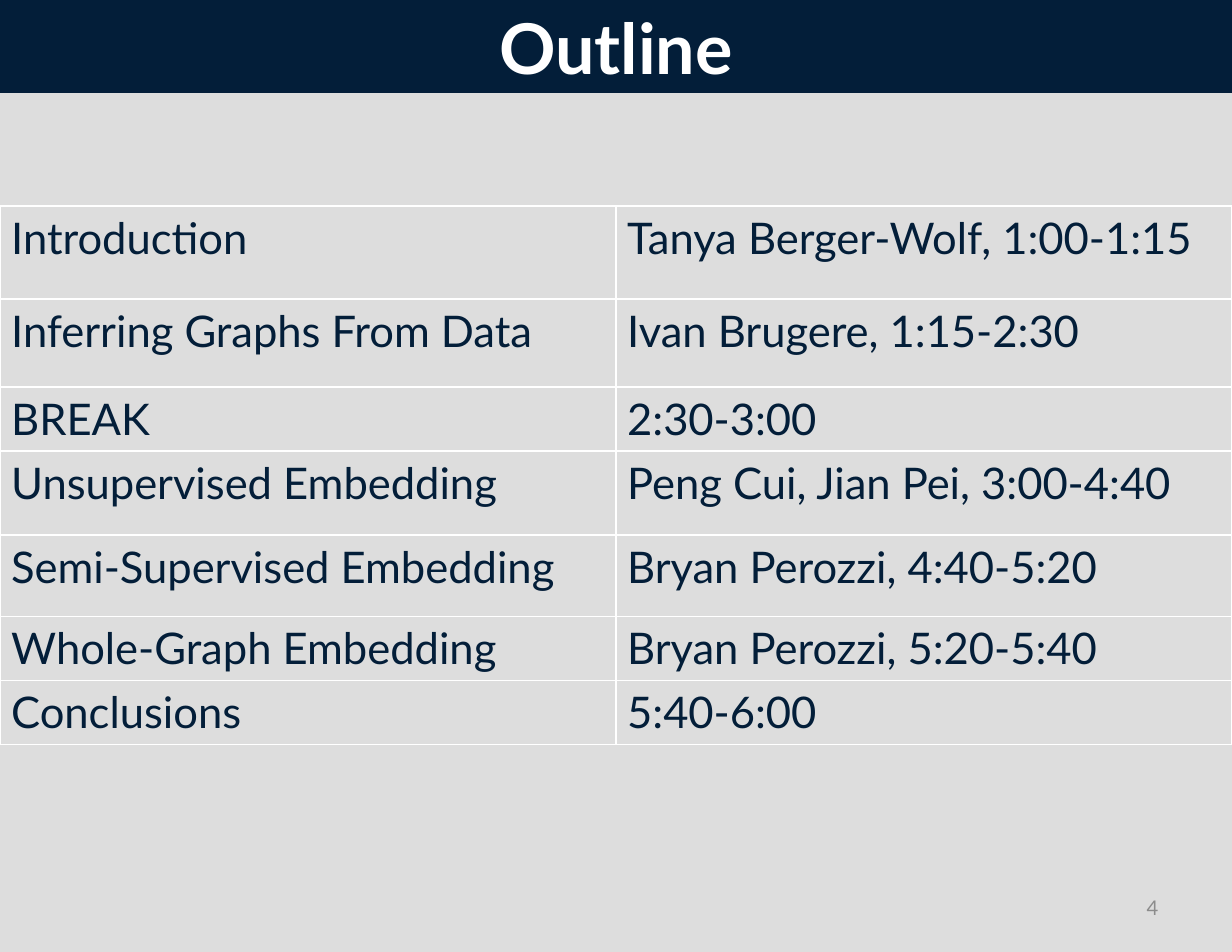
import pptx
import pptx.dml.color
import pptx.enum.text
import pptx.oxml
import pptx.oxml.ns
import pptx.util

Cm = pptx.util.Cm
Pt = pptx.util.Pt
RGBColor = pptx.dml.color.RGBColor
ALIGN = pptx.enum.text.PP_ALIGN
MIDDLE = pptx.enum.text.MSO_ANCHOR.MIDDLE

heading = "Outline"
page = "4"
agenda = [
    ("Introduction", "Tanya Berger-Wolf, 1:00-1:15", 2.11),
    ("Inferring Graphs From Data", "Ivan Brugere, 1:15-2:30", 2.0),
    ("BREAK", "2:30-3:00", 1.45),
    ("Unsupervised Embedding", "Peng Cui, Jian Pei, 3:00-4:40", 1.9),
    ("Semi-Supervised Embedding", "Bryan Perozzi, 4:40-5:20", 1.85),
    ("Whole-Graph Embedding", "Bryan Perozzi, 5:20-5:40", 1.45),
    ("Conclusions", "5:40-6:00", 1.45),
]

NAVY = RGBColor(0x03, 0x1E, 0x39)
PALE = RGBColor(0xDD, 0xDD, 0xDD)
WHITE = RGBColor(0xFF, 0xFF, 0xFF)
GREY = RGBColor(0x8C, 0x8C, 0x8C)

WIDTH, HEIGHT = Cm(27.94), Cm(21.59)
HEADING_FONT = {"name": "Lato", "size": Pt(45), "bold": True}
AGENDA_FONT = {"name": "Lato", "size": Pt(28), "bold": False}
PAGE_FONT = {"name": "Lato", "size": Pt(13), "bold": False}
FRAME = {"word_wrap": True, "vertical_anchor": MIDDLE,
         "margin_left": Cm(0.28), "margin_right": Cm(0.28),
         "margin_top": Cm(0.15), "margin_bottom": Cm(0.15)}
HEADING_BOX = {"left": 0, "top": 0, "width": WIDTH, "height": Cm(2.11)}
TABLE_FLAGS = {"first_row": False, "horz_banding": False}


def apply(target, values):
    for attribute, value in values.items():
        setattr(target, attribute, value)


def write(frame, text, font, color, align):
    paragraph = frame.paragraphs[0]
    paragraph.alignment = align
    run = paragraph.add_run()
    run.text = text
    apply(run.font, font)
    run.font.color.rgb = color


def add_borders(cell):
    properties = cell._tc.get_or_add_tcPr()
    for index, side in enumerate(("lnL", "lnR", "lnT", "lnB")):
        properties.insert(index, pptx.oxml.parse_xml(
            f'<a:{side} {pptx.oxml.ns.nsdecls("a")} w="{Pt(1)}"><a:solidFill>'
            f'<a:srgbClr val="{WHITE}"/></a:solidFill></a:{side}>'))


deck = pptx.Presentation()
apply(deck, {"slide_width": WIDTH, "slide_height": HEIGHT})
slide = deck.slides.add_slide(deck.slide_layouts[5])
slide.background.fill.solid()
slide.background.fill.fore_color.rgb = PALE

page_number = slide.shapes.add_textbox(Cm(20.02), Cm(20.02), Cm(6.53), Cm(1.14))
apply(page_number.text_frame, FRAME)
write(page_number.text_frame, page, PAGE_FONT, GREY, ALIGN.RIGHT)

title = slide.shapes.title
apply(title, HEADING_BOX)
title.fill.solid()
title.fill.fore_color.rgb = NAVY
apply(title.text_frame, FRAME)
write(title.text_frame, heading, HEADING_FONT, WHITE, ALIGN.CENTER)

total = sum(height for _, _, height in agenda)
schedule = slide.shapes.add_table(
    len(agenda), 2, 0, Cm(4.67), WIDTH, Cm(total)).table
apply(schedule, TABLE_FLAGS)
for row, (topic, speaker, height) in zip(schedule.rows, agenda):
    row.height = Cm(height)
    for cell, text in zip(row.cells, (topic, speaker)):
        cell.fill.solid()
        cell.fill.fore_color.rgb = PALE
        add_borders(cell)
        write(cell.text_frame, text, AGENDA_FONT, NAVY, ALIGN.LEFT)

deck.save("out.pptx")
